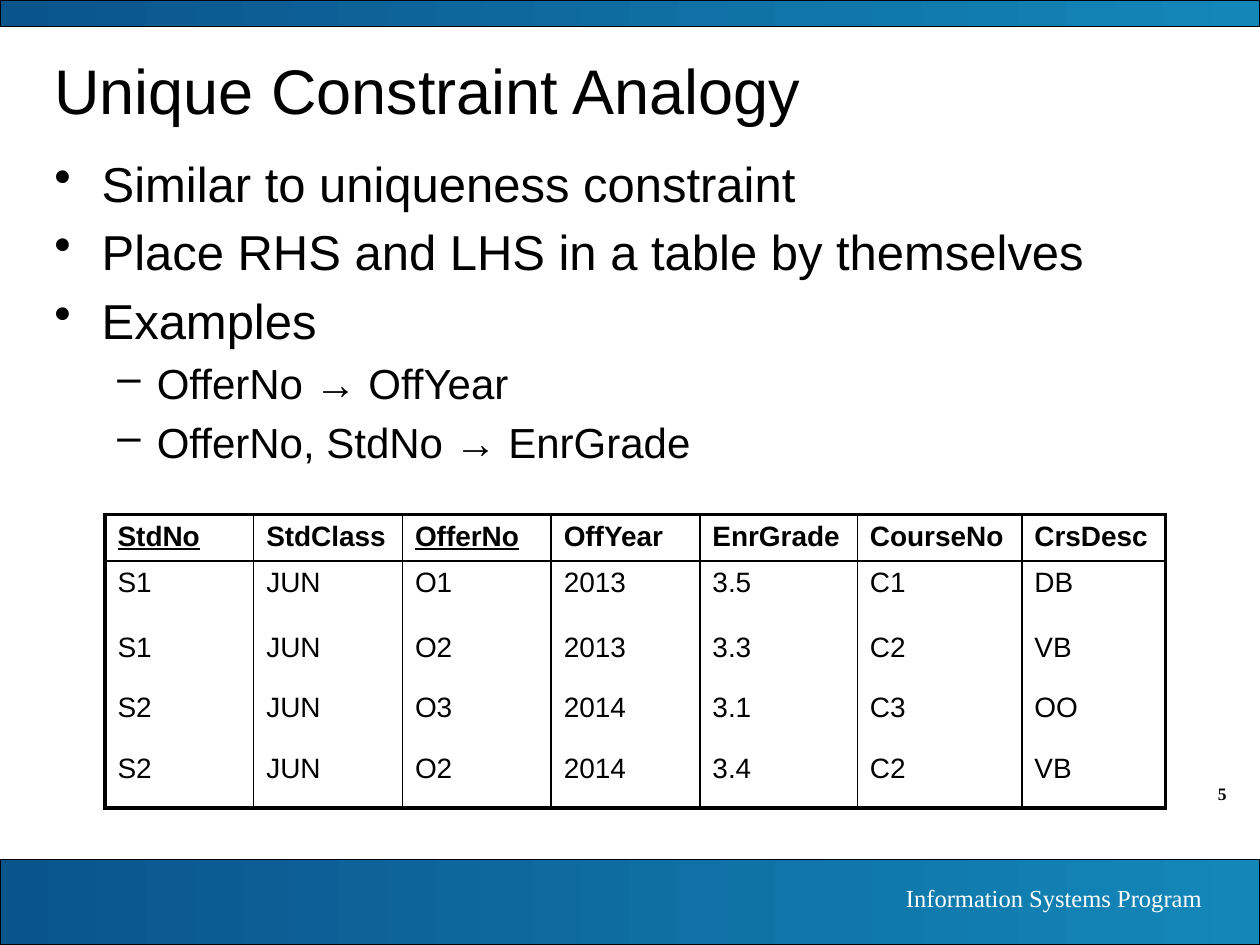
"""Build the Unique Constraint Analogy slide."""
from lxml.etree import SubElement
from pptx import Presentation
from pptx.dml.color import RGBColor
from pptx.enum.shapes import MSO_SHAPE as Shape
from pptx.enum.text import MSO_ANCHOR as Anchor, PP_ALIGN as Align
from pptx.oxml.ns import qn
from pptx.util import Pt

BLACK = RGBColor(0x00, 0x00, 0x00)
WHITE = RGBColor(0xFF, 0xFF, 0xFF)
DARK_BLUE = RGBColor(0x0A, 0x54, 0x8C)
LIGHT_BLUE = RGBColor(0x13, 0x87, 0xB8)
SANS, SERIF = "Arial", "Times New Roman"

WIDTH, HEIGHT = 720, 540
BANDS = [(491, 49), (0, 15)]
TITLE = "Unique Constraint Analogy"
FOOTER = "Information Systems Program"
PAGE_NUMBER = "5"
BULLETS = [
    (0, "Similar to uniqueness constraint"),
    (0, "Place RHS and LHS in a table by themselves"),
    (0, "Examples"),
    (1, "OfferNo → OffYear"),
    (1, "OfferNo, StdNo → EnrGrade"),
]
LEVELS = [
    {"size": 28, "mark": "•", "margin": 27, "hang": 27},
    {"size": 24, "mark": "–", "margin": 58.5, "hang": 22.5},
]
ROWS = [
    ["StdNo", "StdClass", "OfferNo", "OffYear", "EnrGrade", "CourseNo", "CrsDesc"],
    ["S1", "JUN", "O1", "2013", "3.5", "C1", "DB"],
    ["S1", "JUN", "O2", "2013", "3.3", "C2", "VB"],
    ["S2", "JUN", "O3", "2014", "3.1", "C3", "OO"],
    ["S2", "JUN", "O2", "2014", "3.4", "C2", "VB"],
]
KEY_COLUMNS = {"StdNo", "OfferNo"}
COLUMN_WIDTHS = [85, 85, 85, 85, 90, 94, 82]
ROW_HEIGHTS = [26.5, 37, 34.8, 34.8, 34.8]
OUTER, INNER = 2.25, 1


def add_run(paragraph, text, size, font_name, color=BLACK, bold=False, underline=False):
    run = paragraph.add_run()
    run.text = text
    font = run.font
    font.size, font.name, font.bold, font.underline = Pt(size), font_name, bold, underline
    font.color.rgb = color


def add_text_frame(slide, left, top, width, height, anchor=Anchor.TOP):
    box = slide.shapes.add_textbox(Pt(left), Pt(top), Pt(width), Pt(height))
    frame = box.text_frame
    frame.word_wrap = True
    frame.vertical_anchor = anchor
    return frame


def add_right_text(slide, box, text, size, color, bold=False):
    paragraph = add_text_frame(slide, *box).paragraphs[0]
    paragraph.alignment = Align.RIGHT
    add_run(paragraph, text, size, SERIF, color, bold)


def add_band(slide, top, height):
    band = slide.shapes.add_shape(Shape.RECTANGLE, 0, Pt(top), Pt(WIDTH), Pt(height))
    band.shadow.inherit = False
    band.fill.gradient()
    band.fill.gradient_angle = 0
    for stop, color in zip(band.fill.gradient_stops, (DARK_BLUE, LIGHT_BLUE)):
        stop.color.rgb = color
    band.line.color.rgb = BLACK
    band.line.width = Pt(0.75)


def set_bullet(paragraph, level, mark, margin, hang):
    properties = paragraph._p.get_or_add_pPr()
    properties.set("lvl", str(level))
    properties.set("marL", str(Pt(margin)))
    properties.set("indent", str(-Pt(hang)))
    spacing = SubElement(properties, qn("a:spcBef"))
    SubElement(spacing, qn("a:spcPct"), val="20000")
    SubElement(properties, qn("a:buChar"), char=mark)


def add_bullets(slide):
    frame = add_text_frame(slide, 24, 84, 660, 354)
    for index, (level, text) in enumerate(BULLETS):
        paragraph = frame.add_paragraph() if index else frame.paragraphs[0]
        style = LEVELS[level]
        set_bullet(paragraph, level, style["mark"], style["margin"], style["hang"])
        add_run(paragraph, text, style["size"], SANS)


def set_borders(cell, widths):
    properties = cell._tc.get_or_add_tcPr()
    for side, width in widths.items():
        line = SubElement(properties, qn(f"a:ln{side}"), w=str(Pt(width)))
        if width:
            fill = SubElement(line, qn("a:solidFill"))
            SubElement(fill, qn("a:srgbClr"), val=str(BLACK))
        else:
            SubElement(line, qn("a:noFill"))


def add_offering_table(slide):
    last_row, last_column = len(ROWS) - 1, len(COLUMN_WIDTHS) - 1
    table = slide.shapes.add_table(
        len(ROWS), len(COLUMN_WIDTHS), Pt(60), Pt(294),
        Pt(sum(COLUMN_WIDTHS)), Pt(sum(ROW_HEIGHTS))).table
    table.first_row = table.horz_banding = False
    for column, width in zip(table.columns, COLUMN_WIDTHS):
        column.width = Pt(width)
    for row, height in zip(table.rows, ROW_HEIGHTS):
        row.height = Pt(height)
    for i, values in enumerate(ROWS):
        for j, value in enumerate(values):
            cell = table.cell(i, j)
            set_borders(cell, {
                "L": OUTER if j == 0 else INNER,
                "R": OUTER if j == last_column else INNER,
                "T": {0: OUTER, 1: INNER}.get(i, 0),
                "B": {0: INNER, last_row: OUTER}.get(i, 0),
            })
            cell.fill.background()
            add_run(cell.text_frame.paragraphs[0], value, 16, SANS,
                    bold=i == 0, underline=value in KEY_COLUMNS)


def main():
    presentation = Presentation()
    presentation.slide_width, presentation.slide_height = Pt(WIDTH), Pt(HEIGHT)
    slide = presentation.slides.add_slide(presentation.slide_layouts[6])
    add_right_text(slide, (648, 444, 60, 19.5), PAGE_NUMBER, 10, BLACK, bold=True)
    for top, height in BANDS:
        add_band(slide, top, height)
    add_right_text(slide, (399.5, 501, 294.5, 24.5), FOOTER, 14, WHITE)
    title = add_text_frame(slide, 24, 24, 660, 54, Anchor.MIDDLE)
    add_run(title.paragraphs[0], TITLE, 36, SANS)
    add_bullets(slide)
    add_offering_table(slide)
    presentation.save("out.pptx")


if __name__ == "__main__":
    main()
